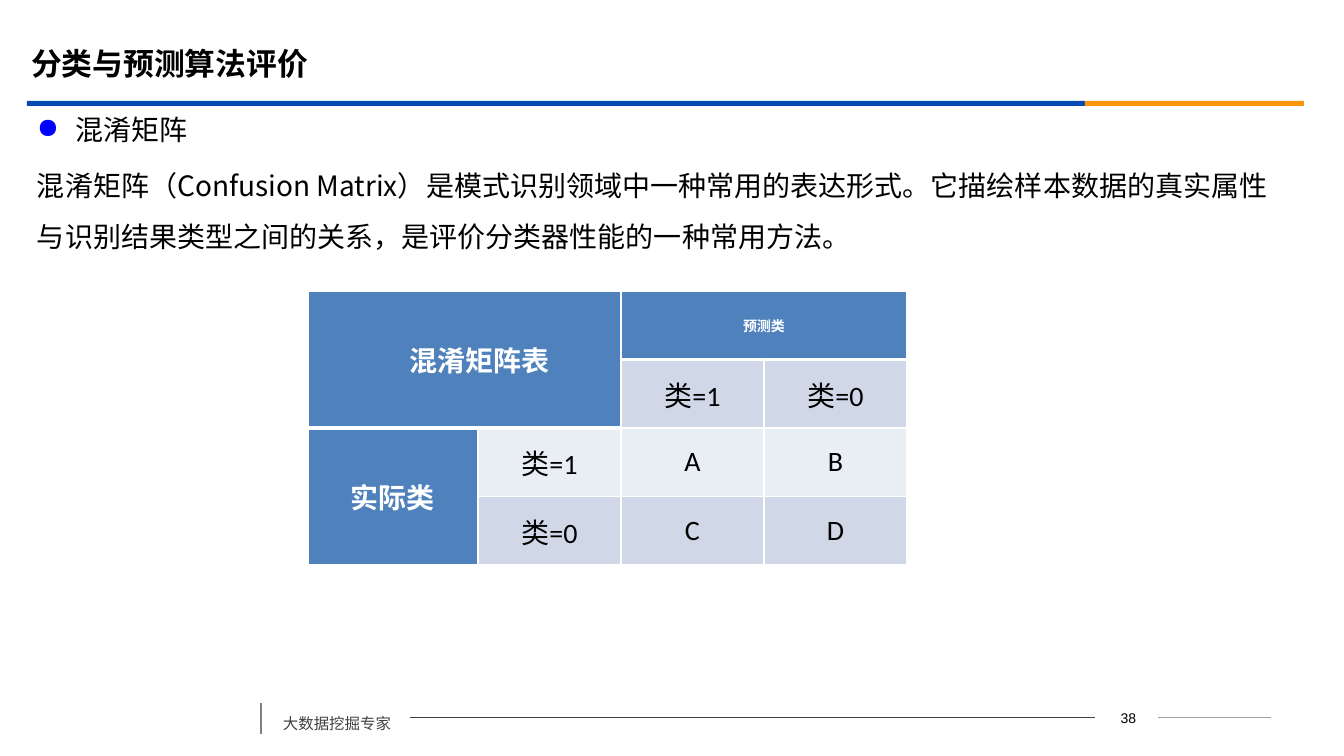
import lxml.etree
import pptx
import pptx.dml.color
import pptx.enum.shapes
import pptx.enum.text
import pptx.oxml
import pptx.oxml.ns
import pptx.util

EMU_PER_PX = 914400 / 100.8
COLORS = {
    "black": "000000", "white": "FFFFFF", "rule_blue": "064BB2",
    "rule_orange": "FB9708", "bullet": "0000FF", "header": "4F81BD",
    "band_dark": "D0D8E8", "band_light": "E9EDF4", "footer": "404040",
    "divider": "808080", "footer_tail": "A0A0A0",
}
CJK = "Noto Sans CJK SC"
ALIGN = pptx.enum.text.PP_ALIGN
MIDDLE = pptx.enum.text.MSO_ANCHOR.MIDDLE
qn = pptx.oxml.ns.qn


def px(length):
    return pptx.util.Emu(round(length * EMU_PER_PX))


def rgb(color):
    return pptx.dml.color.RGBColor.from_string(COLORS[color])


def write(paragraph, text, size, color, face=CJK, bold=False, align=ALIGN.LEFT):
    paragraph.text = text
    paragraph.alignment = align
    font = paragraph.font
    font.size = pptx.util.Pt(size)
    font.bold = bold
    font.color.rgb = rgb(color)
    font.name = face
    properties = paragraph._p.pPr.find(qn("a:defRPr"))
    lxml.etree.SubElement(properties, qn("a:ea"), typeface=CJK)


def set_insets(frame, horizontal, vertical):
    frame.margin_left = frame.margin_right = px(horizontal)
    frame.margin_top = frame.margin_bottom = px(vertical)


def add_text_frame(slide, box, horizontal=0, vertical=0):
    frame = slide.shapes.add_textbox(*map(px, box)).text_frame
    frame.word_wrap = True
    set_insets(frame, horizontal, vertical)
    return frame


def add_line(slide, start, end, color, width):
    line = slide.shapes.add_connector(
        pptx.enum.shapes.MSO_CONNECTOR.STRAIGHT, *map(px, start + end))
    line.line.color.rgb = rgb(color)
    line.line.width = pptx.util.Pt(width)
    lxml.etree.SubElement(line._element.spPr, qn("a:effectLst"))


def add_heading(slide, box):
    left, top, width, height = box
    title = slide.shapes.title
    title.left, title.top, title.width, title.height = map(px, box)
    frame = title.text_frame
    frame.auto_size = pptx.enum.text.MSO_AUTO_SIZE.NONE
    frame.vertical_anchor = MIDDLE
    write(frame.paragraphs[0], "分类与预测算法评价", 22, "black", "Arial", True)
    rule_left = left + 6
    for width, color in ((1058, "rule_blue"), (219, "rule_orange")):
        rule = slide.shapes.add_shape(
            pptx.enum.shapes.MSO_SHAPE.RECTANGLE,
            *map(px, (rule_left, top + 61, width, 5)))
        rule.shadow.inherit = False
        rule.fill.solid()
        rule.fill.fore_color.rgb = rgb(color)
        rule.line.fill.background()
        rule_left += width


def add_bullet(paragraph, indent):
    properties = paragraph._p.get_or_add_pPr()
    properties.set("marL", str(px(indent)))
    properties.set("indent", str(-px(indent)))
    bullet_color = lxml.etree.SubElement(properties, qn("a:buClr"))
    lxml.etree.SubElement(bullet_color, qn("a:srgbClr"), val=COLORS["bullet"])
    lxml.etree.SubElement(properties, qn("a:buChar"), char="●")


def add_definition(slide, box):
    frame = add_text_frame(slide, box)
    topic = frame.paragraphs[0]
    add_bullet(topic, 38)
    explanation = frame.add_paragraph()
    for paragraph, text in (
        (topic, "混淆矩阵"),
        (explanation, "混淆矩阵（Confusion Matrix）是模式识别领域中一种常用的表达形式。"
                      "它描绘样本数据的真实属性与识别结果类型之间的关系，"
                      "是评价分类器性能的一种常用方法。"),
    ):
        write(paragraph, text, 20, "black")
        paragraph.line_spacing = 1.5
        paragraph.space_before = pptx.util.Pt(4)


def set_borders(cell, bottom_width):
    properties = cell._tc.get_or_add_tcPr()
    for index, side in enumerate("LRTB"):
        width = bottom_width if side == "B" else 1
        border = lxml.etree.Element(
            qn(f"a:ln{side}"), w=str(pptx.util.Pt(width)))
        fill = lxml.etree.SubElement(border, qn("a:solidFill"))
        lxml.etree.SubElement(fill, qn("a:srgbClr"), val=COLORS["white"])
        properties.insert(index, border)


def add_confusion_matrix(slide, box):
    rows = (
        ("混淆矩阵表", "", "预测类", ""),
        ("", "", "类=1", "类=0"),
        ("实际类", "类=1", "A", "B"),
        ("", "类=0", "C", "D"),
    )
    headers = {(0, 0): (1, 1), (0, 2): (0, 3), (2, 0): (3, 0)}
    heavy_bottoms = {(0, 0), (1, 0), (1, 1), (0, 2), (0, 3)}
    matrix = slide.shapes.add_table(4, 4, *map(px, box)).table
    matrix.first_row = matrix.horz_banding = False
    for column, width in zip(matrix.columns, (170, 143, 143, 143)):
        column.width = px(width)
    for row in matrix.rows:
        row.height = px(box[3] / len(rows))
    for first, last in headers.items():
        matrix.cell(*first).merge(matrix.cell(*last))
    for r, labels in enumerate(rows):
        for c, label in enumerate(labels):
            cell = matrix.cell(r, c)
            is_header = (r, c) in headers or cell.is_spanned
            band = "band_light" if r == 2 else "band_dark"
            cell.fill.solid()
            cell.fill.fore_color.rgb = rgb("header" if is_header else band)
            set_borders(cell, 3 if (r, c) in heavy_bottoms else 1)
            cell.vertical_anchor = MIDDLE
            set_insets(cell, 7, 0)
            if label:
                write(cell.text_frame.paragraphs[0], label,
                      10 if label == "预测类" else 20,
                      "white" if is_header else "black",
                      "Calibri", is_header, ALIGN.CENTER)
    corner = matrix.cell(0, 0).text_frame.paragraphs[0]
    corner._p.pPr.set("indent", str(px(31)))


def add_footer(slide, box):
    left, top, width, height = box
    middle = top + 15
    add_line(slide, (left, top), (left, top + height), "divider", 1.25)
    add_line(slide, (left + 149, middle), (left + 834, middle), "footer", 0.75)
    add_line(slide, (left + 897, middle), (left + width, middle), "footer_tail", 0.75)
    motto = add_text_frame(slide, (left + 12, top - 3, 137, 38), 10, 5).paragraphs[0]
    write(motto, "大数据挖掘专家", 11, "footer")
    motto.line_spacing = 1.5
    motto.space_before = pptx.util.Pt(6)
    page = add_text_frame(slide, (left + 836, top + 2, 63, 25))
    page.vertical_anchor = MIDDLE
    write(page.paragraphs[0], "38", 10, "black", "Arial", align=ALIGN.CENTER)


def main():
    presentation = pptx.Presentation()
    presentation.slide_width, presentation.slide_height = px(1344), px(756)
    slide = presentation.slides.add_slide(presentation.slide_layouts[5])
    add_footer(slide, (261, 703, 1010, 31))
    add_heading(slide, (21, 40, 1223, 47))
    add_definition(slide, (37, 96, 1239, 159))
    add_confusion_matrix(slide, (308, 291, 599, 274))
    presentation.save("out.pptx")


if __name__ == "__main__":
    main()
